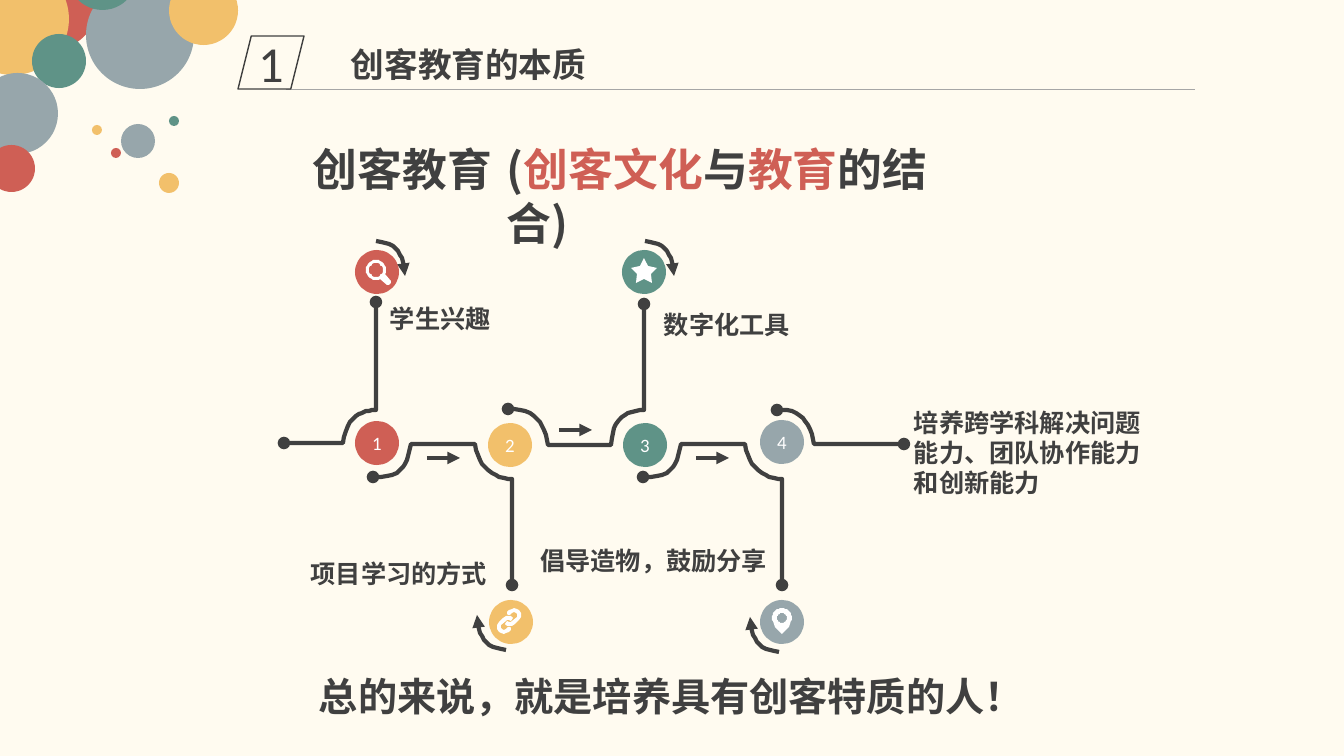
from dataclasses import dataclass
from math import cos, radians, sin
from typing import NamedTuple

from lxml import etree
from pptx import Presentation
from pptx import util as u
from pptx.dml.color import RGBColor
from pptx.enum import shapes, text
from pptx.oxml.ns import qn

PX = 12192000 / 1344


@dataclass(frozen=True)
class Theme:
    paper: str = "FFFBF0"
    ink: str = "404040"
    rule: str = "A6A6A6"
    white: str = "FFFFFF"
    red: str = "CF5F55"
    yellow: str = "F2C06B"
    green: str = "5F9387"
    grey: str = "97A6AB"
    latin: str = "Calibri"
    chinese: str = "Noto Sans CJK SC"
    badge: float = 36
    title: float = 32
    summary: float = 28
    heading: float = 24
    label: float = 18
    number: float = 13.5


THEME = Theme()
LEFT, CENTER, RIGHT = text.PP_ALIGN.LEFT, text.PP_ALIGN.CENTER, text.PP_ALIGN.RIGHT


class Box(NamedTuple):
    left: int
    top: int
    width: int
    height: int

    def inner(self, left, top, width, height):
        return Box(self.left + left, self.top + top, width, height)

    def emu(self):
        return [px(value) for value in self]


def px(value):
    return u.Emu(round(value * PX))


def rgb(color):
    return RGBColor.from_string(color)


def paint(shape, fill=None, line=None, weight=1):
    shape.shadow.inherit = False
    if fill:
        shape.fill.solid()
        shape.fill.fore_color.rgb = rgb(fill)
    else:
        shape.fill.background()
    if line:
        shape.line.color.rgb = rgb(line)
        shape.line.width = u.Pt(weight)
    else:
        shape.line.fill.background()
    return shape


def add_span(para, words, size, color, font, bold=True):
    span = para.add_run()
    span.text = words
    span.font.size = u.Pt(size)
    span.font.bold = bold
    span.font.name = font
    span.font.color.rgb = rgb(color)
    if bold:
        east_asian = etree.SubElement(span.font._element, qn("a:ea"))
        east_asian.set("typeface", THEME.chinese)


def add_words(page, box, spans, size, align=LEFT, font=THEME.chinese):
    frame = page.shapes.add_textbox(*box.emu()).text_frame
    frame.word_wrap = True
    frame.margin_top = px(5 + round(size / 8))
    para = frame.paragraphs[0]
    para.alignment = align
    para.line_spacing = u.Pt(size * 1.2)
    for words, color in spans:
        add_span(para, words, size, color, font)


def add_figure(page, kind, box, figure, size, color, fill=None, line=None):
    shape = paint(page.shapes.add_shape(kind, *box.emu()), fill, line)
    frame = shape.text_frame
    frame.margin_left = frame.margin_right = frame.margin_top = frame.margin_bottom = 0
    frame.vertical_anchor = text.MSO_ANCHOR.MIDDLE
    para = frame.paragraphs[0]
    para.alignment = CENTER
    add_span(para, figure, size, color, THEME.latin, bold=False)


def add_ends(shape, head=None, tail=None):
    line = shape.line._get_or_add_ln()
    for tag, kind in (("a:headEnd", head), ("a:tailEnd", tail)):
        if kind:
            etree.SubElement(line, qn(tag)).set("type", kind)


def add_straight(page, start, end, color, weight):
    points = [px(value) for value in (*start, *end)]
    line = page.shapes.add_connector(shapes.MSO_CONNECTOR.STRAIGHT, *points)
    line.line.color.rgb = rgb(color)
    line.line.width = u.Pt(weight)
    etree.SubElement(line._element.spPr, qn("a:effectLst"))
    return line


def add_outline(page, origin, contours, closed):
    contours = [[(origin[0] + x, origin[1] + y) for x, y in contour] for contour in contours]
    builder = page.shapes.build_freeform(*contours[0][0], scale=PX)
    builder.add_line_segments(contours[0][1:], close=closed)
    for contour in contours[1:]:
        builder.move_to(*contour[0])
        builder.add_line_segments(contour[1:], close=closed)
    return builder.convert_to_shape()


def flatten(steps, pieces=12):
    points = [steps[0]]
    for step in steps[1:]:
        if len(step) == 2:
            points.append(step)
            continue
        corners = [points[-1], step[:2], step[2:4], step[4:]]
        for piece in range(1, pieces + 1):
            t = piece / pieces
            weights = ((1 - t) ** 3, 3 * t * (1 - t) ** 2, 3 * t * t * (1 - t), t ** 3)
            points.append(tuple(sum(w * c[axis] for w, c in zip(weights, corners)) for axis in (0, 1)))
    return points


def add_track(page, origin, steps, head=None, tail=None):
    track = paint(add_outline(page, origin, [flatten(steps)], False), line=THEME.ink, weight=3)
    add_ends(track, head, tail)


def arc(x, y, radius, start=0, end=360, step=10):
    return [(x + radius * cos(radians(a)), y + radius * sin(radians(a))) for a in range(start, end + 1, step)]


def icon_contours():
    search = [arc(-1, -2, 10, 65, 385) + [(14, 9), (14, 11), (12, 13), (10, 13)], arc(-1, -2, 7)]
    star = [[(r * sin(radians(36 * i)), -r * cos(radians(36 * i))) for i, r in enumerate((14, 7) * 5)]]
    half = [(5, -13), (8, -12), (10, -11), (12, -8), (12, -6), (12, -4), (10, -1), (6, 3), (3, 5),
            (0, 5), (-2, 5), (-4, 3), (-2, 0), (0, 1), (2, 1), (3, 0), (8, -4), (8, -7), (7, -8),
            (5, -9), (3, -8), (1, -6), (-1, -6), (-2, -7), (-2, -9), (0, -11), (3, -12)]
    link = [[(sign * x - 2, sign * y - 1) for x, y in half] for sign in (1, -1)]
    pin = [arc(0, -4, 10, 160, 380) + [(7, 5), (3, 9), (0, 12), (-3, 9), (-7, 5)], arc(0, -4, 5)]
    return search, star, link, pin


def add_bubbles(page, box):
    red, yellow, green, grey = THEME.red, THEME.yellow, THEME.green, THEME.grey
    group = page.shapes.add_group_shape()
    for left, top, size, color in (
            (4, -44, 94, red), (-43, -37, 112, yellow), (32, 34, 54, green), (-23, 73, 81, grey),
            (86, -19, 108, grey), (68, -59, 69, green), (-12, 145, 47, red), (121, 124, 34, grey),
            (111, 148, 10, red), (92, 125, 10, yellow), (169, 116, 10, green),
            (159, 173, 20, yellow), (169, -24, 69, yellow)):
        place = box.inner(left, top, size, size)
        paint(group.shapes.add_shape(shapes.MSO_SHAPE.OVAL, *place.emu()), color)


def add_header(page, box):
    bottom = box.top + box.height
    add_straight(page, (box.left + 48, bottom), (box.left + box.width, bottom), THEME.rule, 0.5)
    add_figure(page, shapes.MSO_SHAPE.PARALLELOGRAM, box.inner(0, 0, 66, 53), "1",
               THEME.badge, THEME.ink, line=THEME.ink)
    add_words(page, box.inner(-28, 0, 517, 50), [("创客教育的本质", THEME.ink)], THEME.heading, CENTER)


def add_title(page, box):
    ink, red = THEME.ink, THEME.red
    add_words(page, box.inner(0, 0, 771, 64), [("创客教育", ink)], THEME.title)
    add_words(page, box.inner(194, 0, 499, 95),
              [("(", ink), ("创客文化", red), ("与", ink), ("教育", red), ("的结合)", ink)], THEME.title)


def add_roadmap(page, box):
    origin = box[:2]
    descent = [(93, 237), (126, 239, 128, 220, 131, 204), (195, 204),
               (198, 228, 215, 239, 232, 239), (232, 345)]
    tracks = (
        (0, [(4, 203), (63, 203), (67, 176, 82, 170, 96, 170), (96, 62)]),
        (0, descent),
        (0, [(228, 169), (255, 168, 265, 184, 268, 205), (331, 205),
             (332, 177, 347, 171, 364, 170), (364, 64)]),
        (0, [(497, 170), (519, 167, 531, 182, 534, 204), (624, 204)]),
        (270, descent))
    for shift, steps in tracks:
        add_track(page, (box.left + shift, box.top), steps, "oval", "oval")
    for x, y, sign in ((96, 1, 1), (365, 1, 1), (226, 410, -1), (499, 412, -1)):
        swing = [(0, 0), tuple(sign * value for value in (21, 2, 29, 14, 29, 35))]
        add_track(page, (box.left + x, box.top + y), swing, tail="triangle")
    for x, y in ((147, 218), (279, 190), (416, 218)):
        start = (box.left + x, box.top + y)
        add_ends(add_straight(page, start, (start[0] + 33, start[1]), THEME.ink, 3), tail="triangle")

    stops = ((THEME.red, (75, 181), (75, 10)), (THEME.yellow, (208, 183), (209, 360)),
             (THEME.green, (343, 183), (342, 10)), (THEME.grey, (480, 180), (480, 360)))
    search, star, link, pin = icon_contours()
    for number, ((color, stop, sign), icon) in enumerate(zip(stops, (search, link, star, pin)), 1):
        add_figure(page, shapes.MSO_SHAPE.OVAL, box.inner(*stop, 44, 44), str(number),
                   THEME.number, THEME.white, fill=color)
        place = box.inner(*sign, 44, 44)
        paint(page.shapes.add_shape(shapes.MSO_SHAPE.OVAL, *place.emu()), color)
        paint(add_outline(page, (place.left + 22, place.top + 22), icon, True), THEME.white)

    for words, place, align in (
            ("学生兴趣", (100, 56, 250, 54), LEFT),
            ("数字化工具", (374, 62, 250, 40), LEFT),
            ("倡导造物，鼓励分享", (249, 298, 248, 54), RIGHT),
            ("项目学习的方式", (-28, 311, 245, 40), RIGHT),
            ("培养跨学科解决问题能力、团队协作能力和创新能力", (624, 160, 250, 102), LEFT)):
        add_words(page, box.inner(*place), [(words, THEME.ink)], THEME.label, align, THEME.latin)


def main():
    deck = Presentation()
    deck.slide_width, deck.slide_height = px(1344), px(756)
    page = deck.slides.add_slide(deck.slide_layouts[6])
    page.background.fill.solid()
    page.background.fill.fore_color.rgb = rgb(THEME.paper)
    add_bubbles(page, Box(0, 0, 238, 193))
    add_header(page, Box(238, 36, 957, 53))
    add_title(page, Box(303, 133, 771, 95))
    add_roadmap(page, Box(280, 240, 874, 412))
    add_words(page, Box(309, 663, 727, 57), [("总的来说，就是培养具有创客特质的人！", THEME.ink)], THEME.summary)
    deck.save("out.pptx")


if __name__ == "__main__":
    main()
